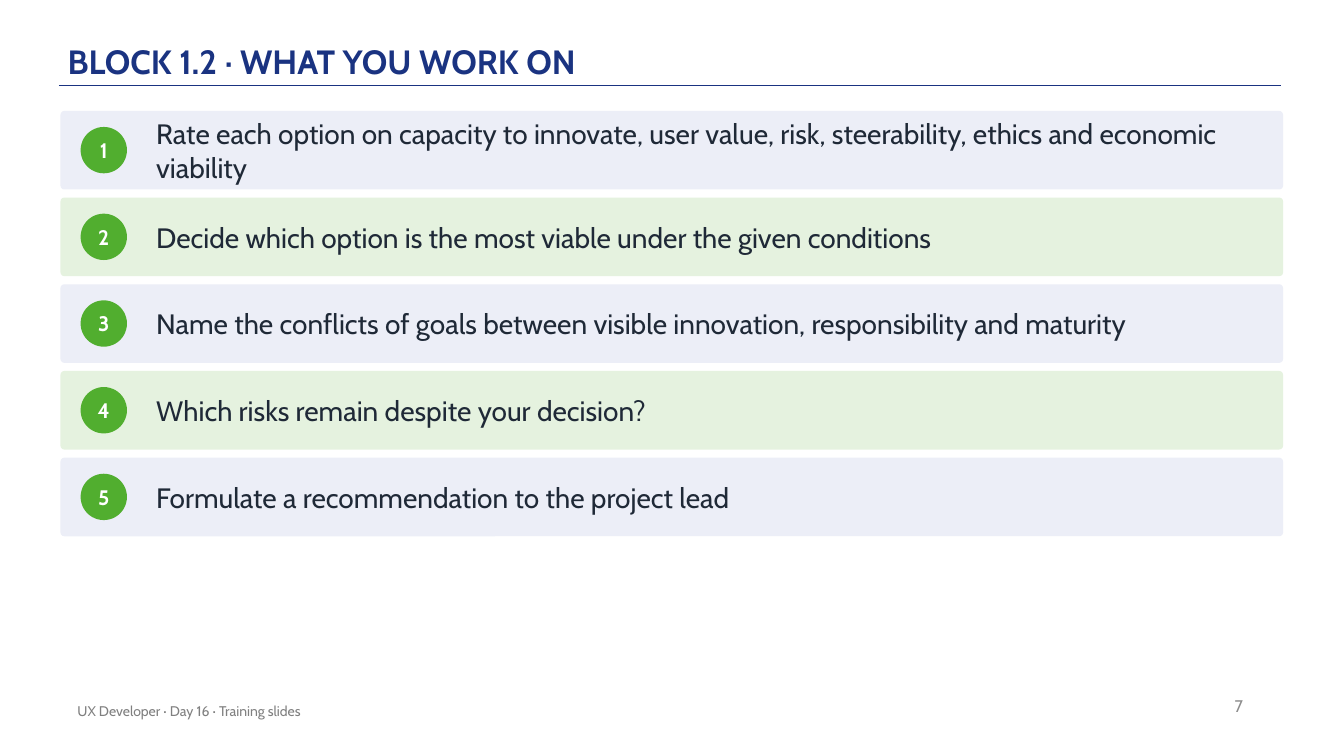
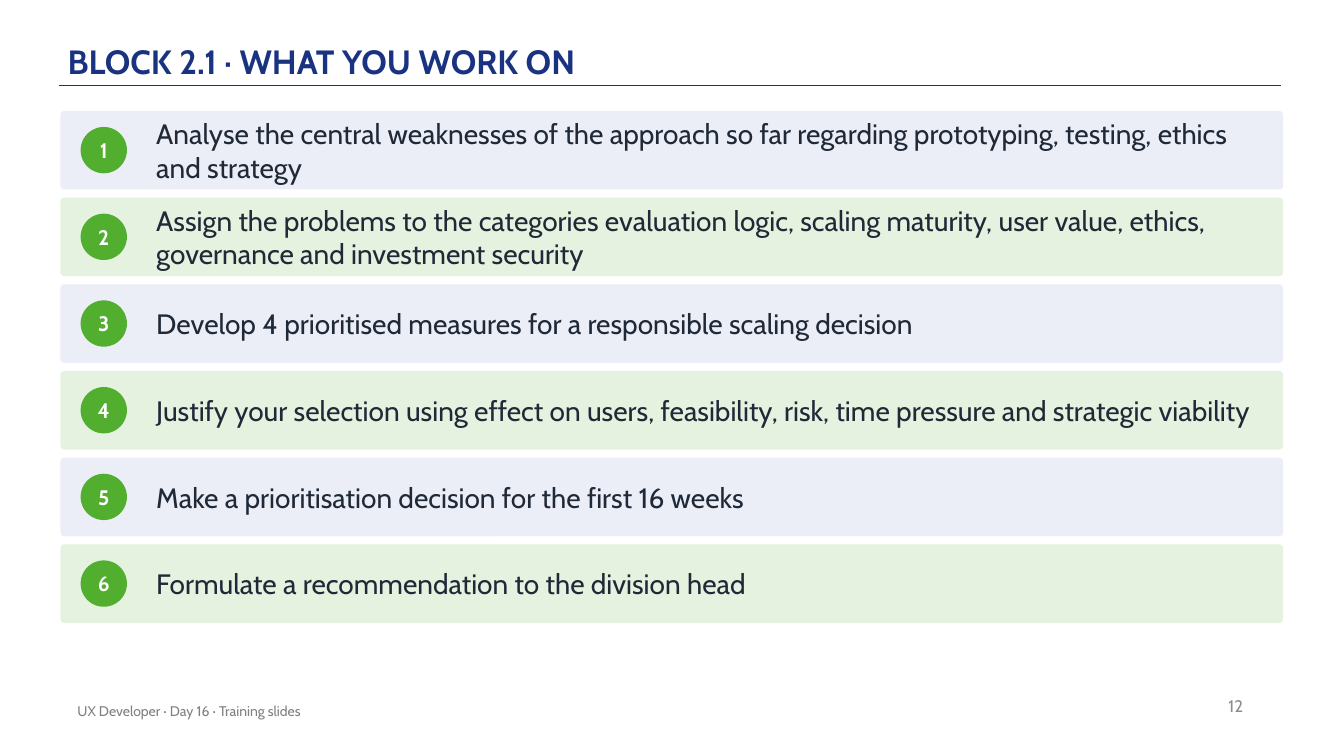
import pptx
import pptx.util
import pptx.dml.color
import pptx.enum.shapes
import pptx.enum.text
import lxml.etree

Pt = pptx.util.Pt
KIND = pptx.enum.shapes.MSO_SHAPE
ALIGN = pptx.enum.text.PP_ALIGN
ANCHOR = pptx.enum.text.MSO_ANCHOR

# Shared look
FONT = "Cabin"
NAVY, GREEN, INK, WHITE = "1A3381", "51AE2F", "1F2937", "FFFFFF"
BANDS = ["ECEEF7", "E5F2DF"]
FOOTER = "UX Developer · Day 16 · Training slides"

# Row grid
TOP, HIGH, STEP, DOT = 79.2, 56.16, 61.92, 33.12

SLIDES = [
    ("BLOCK 1.2 · WHAT YOU WORK ON", 7, [
        "Rate each option on capacity to innovate, user value, risk, steerability, ethics and economic viability",
        "Decide which option is the most viable under the given conditions",
        "Name the conflicts of goals between visible innovation, responsibility and maturity",
        "Which risks remain despite your decision?",
        "Formulate a recommendation to the project lead",
    ]),
    ("BLOCK 2.1 · WHAT YOU WORK ON", 12, [
        "Analyse the central weaknesses of the approach so far regarding prototyping, testing, ethics and strategy",
        "Assign the problems to the categories evaluation logic, scaling maturity, user value, ethics, governance and investment security",
        "Develop 4 prioritised measures for a responsible scaling decision",
        "Justify your selection using effect on users, feasibility, risk, time pressure and strategic viability",
        "Make a prioritisation decision for the first 16 weeks",
        "Formulate a recommendation to the division head",
    ]),
]


def color(code):
    return pptx.dml.color.RGBColor.from_string(code)


def write(shape, text, size=20, ink=INK, bold=False, align=ALIGN.LEFT,
          anchor=ANCHOR.MIDDLE, side=0, edge=0, lead=None):
    frame = shape.text_frame
    frame.word_wrap = True
    frame.vertical_anchor = anchor
    frame.margin_left = frame.margin_right = Pt(side)
    frame.margin_top = frame.margin_bottom = Pt(edge)
    para = frame.paragraphs[0]
    para.alignment = align
    para.line_spacing = lead
    run = para.add_run()
    run.text = text
    run.font.name = FONT
    run.font.size = Pt(size)
    run.font.bold = bold
    run.font.color.rgb = color(ink)


deck = pptx.Presentation()
deck.slide_width, deck.slide_height = Pt(960), Pt(540)

for title, page, tasks in SLIDES:
    shapes = deck.slides.add_slide(deck.slide_layouts[6]).shapes

    # Title and rule
    rule = shapes.add_connector(pptx.enum.shapes.MSO_CONNECTOR.STRAIGHT,
                                Pt(42), Pt(61.2), Pt(915), Pt(61.2))
    rule.line.color.rgb = color(NAVY)
    rule.line.width = Pt(1)
    lxml.etree.SubElement(rule.line._get_or_add_ln().getparent(),
                          pptx.oxml.ns.qn("a:effectLst"))
    box = shapes.add_textbox(Pt(48.24), Pt(8.64), Pt(792), Pt(51.84))
    write(box, title, size=24, ink=NAVY, bold=True, anchor=ANCHOR.BOTTOM,
          edge=2.16, lead=0.9)

    # Page number and footer
    box = shapes.add_textbox(Pt(679), Pt(489.6), Pt(216), Pt(28.8))
    write(box, str(page), size=12, ink="8C8C8C", align=ALIGN.RIGHT,
          side=7.2, edge=3.6)
    box = shapes.add_textbox(Pt(48.24), Pt(493.2), Pt(482.4), Pt(28.8))
    write(box, FOOTER, size=10, ink="808080", side=7.2, edge=3.6)

    # Numbered task rows
    for i, task in enumerate(tasks):
        y = TOP + i * STEP
        band = shapes.add_shape(KIND.ROUNDED_RECTANGLE,
                                Pt(43.2), Pt(y), Pt(873.36), Pt(HIGH))
        band.adjustments[0] = 0.05
        dot = shapes.add_shape(KIND.OVAL, Pt(57.6), Pt(y + (HIGH - DOT) / 2),
                               Pt(DOT), Pt(DOT))
        for shape, fill in [(band, BANDS[i % 2]), (dot, GREEN)]:
            shape.shadow.inherit = False
            shape.fill.solid()
            shape.fill.fore_color.rgb = color(fill)
            shape.line.fill.background()
        write(dot, str(i + 1), size=15, ink=WHITE, bold=True,
              align=ALIGN.CENTER)
        box = shapes.add_textbox(Pt(111.6), Pt(y), Pt(787), Pt(HIGH))
        write(box, task)

deck.save("out.pptx")
